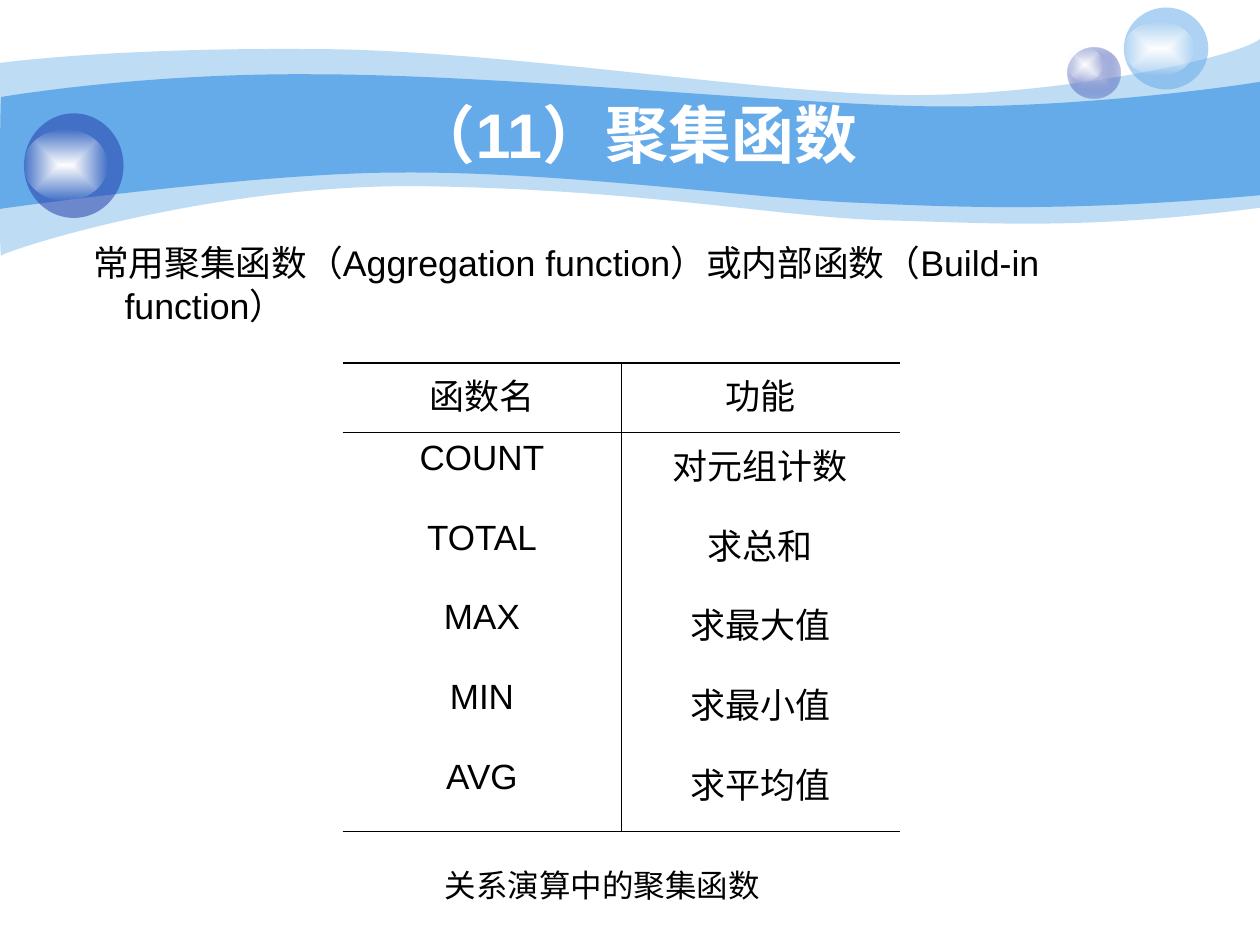
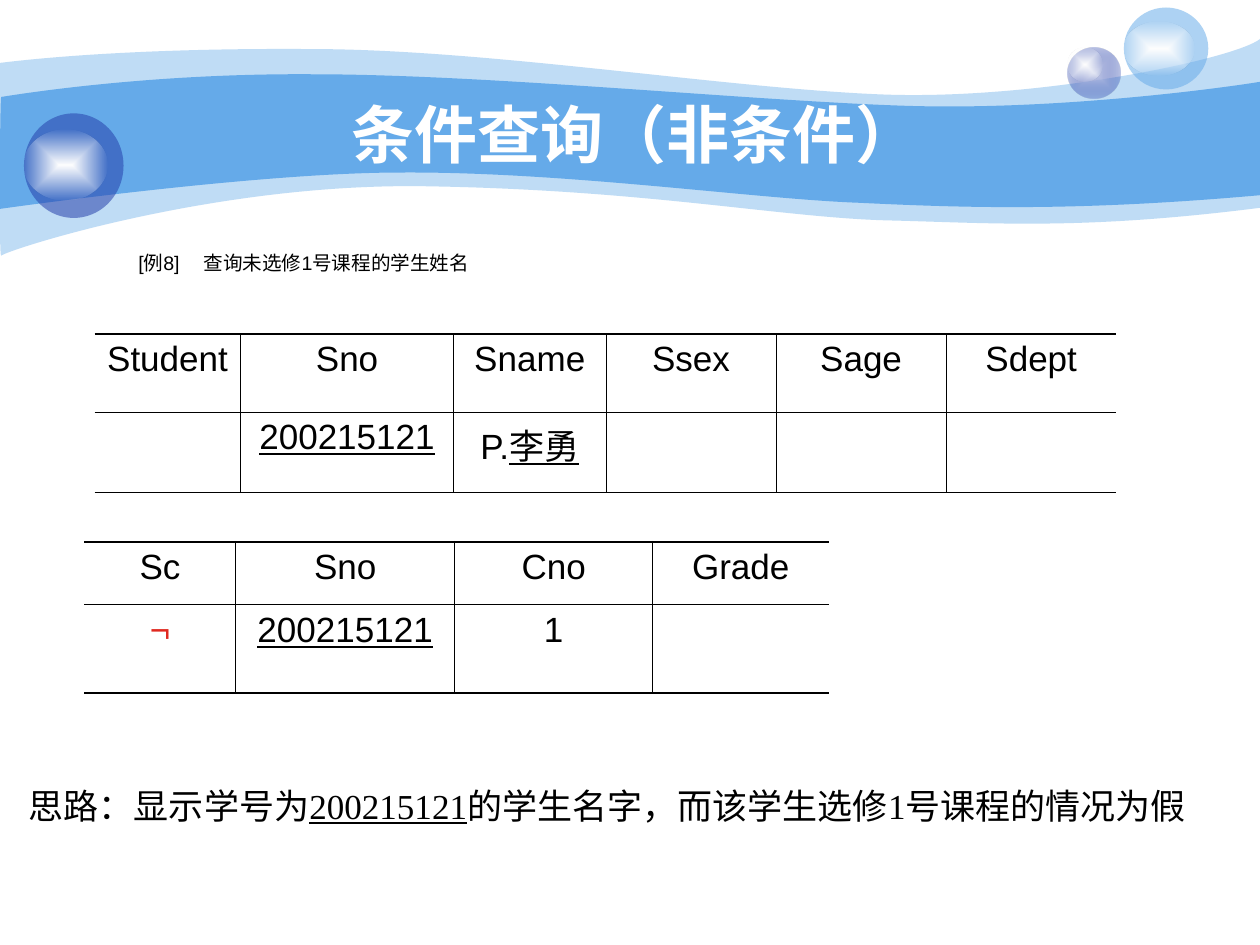
"""Build two slides on aggregate functions and a negated query."""
from pptx import Presentation
from pptx.dml.color import RGBColor
from pptx.enum.shapes import MSO_SHAPE
from pptx.enum.text import MSO_ANCHOR, MSO_AUTO_SIZE, PP_ALIGN
from pptx.oxml import parse_xml
from pptx.oxml.ns import nsdecls, qn
from pptx.util import Inches, Pt

OVAL = MSO_SHAPE.OVAL
MID, TOP = MSO_ANCHOR.MIDDLE, MSO_ANCHOR.TOP
LEFT, MIDST = PP_ALIGN.LEFT, PP_ALIGN.CENTER
FIXED = MSO_AUTO_SIZE.NONE
SKY, NAVY, PALE = "65AAE9", "233DA9", "C7CEE9"
WHITE, BLACK, RED = "FFFFFF", "000000", "E02920"
SANS, SERIF = "Arial", "Times New Roman"
GLOW = [(WHITE, 100), (WHITE, 0)]


def paint(shape, stops):
    """Fill with one see-through colour, or a gradient out from the centre."""
    tints = [f'<a:srgbClr val="{tone}"><a:alpha val="{part * 1000}"/></a:srgbClr>'
             for tone, part in stops]
    if len(tints) == 1:
        xml = f'<a:solidFill {nsdecls("a")}>{tints[0]}</a:solidFill>'
    else:
        marks = "".join(f'<a:gs pos="{i * 100000}">{tint}</a:gs>'
                        for i, tint in enumerate(tints))
        xml = (f'<a:gradFill {nsdecls("a")} rotWithShape="1"><a:gsLst>{marks}</a:gsLst>'
               '<a:path path="rect"><a:fillToRect l="50000" t="50000" r="50000" b="50000"/>'
               '</a:path></a:gradFill>')
    shape.shadow.inherit = False
    shape.line.fill.background()
    shape.fill.background()
    props = shape.element.spPr
    props.replace(props.find(qn("a:noFill")), parse_xml(xml))


def write(frame, text, size, tone=BLACK, face=SANS, align=LEFT, bold=False):
    """Write one paragraph; parts between underscores are underlined."""
    para = frame.paragraphs[0]
    para.alignment = align
    for i, part in enumerate(text.split("_")):
        if part:
            run = para.add_run()
            run.text = part
            look = {"name": face, "size": Pt(size), "bold": bold, "underline": i % 2 == 1}
            for key, value in look.items():
                setattr(run.font, key, value)
            run.font.color.rgb = RGBColor.from_string(tone)
    return para


prs = Presentation()
prs.slide_width, prs.slide_height = Inches(10), Inches(7.5)
plan = prs.slide_layouts[5]
slides = [prs.slides.add_slide(plan) for _ in range(2)]
first, second = slides

waves = [
    (41, (0, 0.5), [
        [(0.24, 0.47), (1.07, 0.38), (2.47, 0.39)],
        [(3.86, 0.39), (5.75, 0.7), (6.99, 0.75)],
        [(8.22, 0.8), (9.8, 0.47), (10, 0.31)],
        [(10, 1.65)],
        [(8.58, 1.83), (7.87, 1.77), (7.05, 1.75)],
        [(6.22, 1.73), (5.15, 1.51), (3.43, 1.48)],
        [(1.72, 1.44), (0.04, 1.99), (0.01, 2.03)],
        [(-0.01, 2.08), (0, 0.75), (0, 0.5)]]),
    (100, (0.01, 0.77), [
        [(0.02, 0.77), (1.1, 0.58), (2.48, 0.59)],
        [(3.86, 0.59), (5.95, 0.8), (7.18, 0.84)],
        [(8.41, 0.88), (9.76, 0.69), (10, 0.65)],
        [(10, 1.55)],
        [(8.53, 1.68), (7.65, 1.65), (6.82, 1.61)],
        [(5.99, 1.58), (4.47, 1.36), (3.17, 1.37)],
        [(2.03, 1.37), (-0.02, 1.66), (-0.01, 1.66)],
        [(0, 1.66), (0, 0.77), (0.01, 0.77)]]),
]
decor = []
for part, start, legs in waves:
    dots = [(Inches(x), Inches(y)) for leg in legs for x, y in leg]
    pen = first.shapes.build_freeform(Inches(start[0]), Inches(start[1]))
    pen.add_line_segments(dots, close=True)
    wave = pen.convert_to_shape()
    lines = iter(list(wave.element.iter(qn("a:lnTo"))))
    for leg in legs:
        steps = [next(lines) for _ in leg]
        if len(steps) == 3:
            curve = parse_xml(f'<a:cubicBezTo {nsdecls("a")}/>')
            steps[0].addprevious(curve)
            for step in steps:
                curve.append(step[0])
                step.getparent().remove(step)
    paint(wave, [(SKY, part)])
    decor.append(wave)

for box, stops in [
    ((8.47, 0.38, 0.42, 0.4), [(PALE, 100), (NAVY, 31)]),
    ((8.47, 0.38, 0.28, 0.27), GLOW),
    ((8.92, 0.06, 0.67, 0.65), [(SKY, 53)]),
    ((8.92, 0.17, 0.56, 0.43), GLOW),
    ((0.19, 0.9, 0.79, 0.83), [(NAVY, 53)]),
    ((0.19, 1.03, 0.66, 0.56), GLOW),
]:
    ball = first.shapes.add_shape(OVAL, *map(Inches, box))
    paint(ball, stops)
    decor.append(ball)
for shape in decor:
    plan.shapes.element.append(shape.element)

for slide, name in zip(slides, ["（11）聚集函数", "条件查询（非条件）"]):
    title = slide.shapes.title
    spot = {"left": 1, "top": 0.75, "width": 8.08, "height": 0.62}
    for key, value in spot.items():
        setattr(title, key, Inches(value))
    title.text_frame.auto_size = FIXED
    title.text_frame.vertical_anchor = MID
    write(title.text_frame, name, 36, WHITE, align=MIDST, bold=True)

paras = []
for slide, box, text, size, face, wrap, anchor in [
    (first, (0.51, 1.86, 9.15, 0.81),
     "常用聚集函数（Aggregation function）或内部函数（Build-in function）",
     20.4, SANS, True, TOP),
    (first, (3.43, 6.82, 2.75, 0.4), "关系演算中的聚集函数", 18, SERIF, False, MID),
    (second, (1, 1.94, 8.41, 0.3), "[例8]\t查询未选修1号课程的学生姓名", 11.2, SANS, True, TOP),
    (second, (0.13, 6.11, 9.65, 0.5),
     "思路：显示学号为_200215121_的学生名字，而该学生选修1号课程的情况为假",
     20, SERIF, False, TOP),
]:
    frame = slide.shapes.add_textbox(*map(Inches, box)).text_frame
    frame.word_wrap = wrap
    frame.vertical_anchor = anchor
    paras.append(write(frame, text, size, face=face))
intro, _, task, idea = paras
for key, value in {"marL": 0.38, "indent": -0.25}.items():
    intro._p.get_or_add_pPr().set(key, str(Inches(value)))
task._p.get_or_add_pPr().insert(0, parse_xml(
    f'<a:tabLst {nsdecls("a")}><a:tab pos="{Inches(0.52)}" algn="l"/></a:tabLst>'))
idea.line_spacing = 1.2

for slide, left, top, cols, rows, grid in [
    (first, 2.72, 2.88, [2.21] * 2, [0.55] + [(3.72 - 0.55) / 5] * 5, [
        ["函数名", "功能"], ["COUNT", "对元组计数"], ["TOTAL", "求总和"],
        ["MAX", "求最大值"], ["MIN", "求最小值"], ["AVG", "求平均值"]]),
    (second, 0.75, 2.65, [1.16, 1.69, 1.21] + [1.35] * 3, [0.62, 0.64], [
        ["Student", "Sno", "Sname", "Ssex", "Sage", "Sdept"],
        ["", "_200215121_", "P._李勇_", "", "", ""]]),
    (second, 0.67, 4.3, [1.2, 1.74, 1.57, 1.4], [0.5, 0.7], [
        ["Sc", "Sno", "Cno", "Grade"], ["¬", "_200215121_", "1", ""]]),
]:
    size = [Inches(v) for v in (left, top, sum(cols), sum(rows))]
    table = slide.shapes.add_table(len(rows), len(cols), *size).table
    table.first_row = table.horz_banding = False
    for col, width in zip(table.columns, cols):
        col.width = Inches(width)
    for row, height in zip(table.rows, rows):
        row.height = Inches(height)
    for r, line in enumerate(grid):
        for c, text in enumerate(line):
            cell = table.cell(r, c)
            cell.fill.background()
            if text:
                write(cell.text_frame, text, 20, RED if text == "¬" else BLACK, align=MIDST)
            edges = {"L": 0.45 if c else 0,
                     "R": 0.45 if c < len(cols) - 1 else 0,
                     "T": {0: 1.08, 1: 0.45}.get(r, 0),
                     "B": 1.08 if r == len(rows) - 1 else 0.45 if r == 0 else 0}
            for i, (side, width) in enumerate(edges.items()):
                ink = (f'<a:solidFill><a:srgbClr val="{BLACK}"/></a:solidFill>'
                       if width else "<a:noFill/>")
                cell._tc.get_or_add_tcPr().insert(i, parse_xml(
                    f'<a:ln{side} {nsdecls("a")} w="{Pt(width)}">{ink}</a:ln{side}>'))

prs.save("out.pptx")
